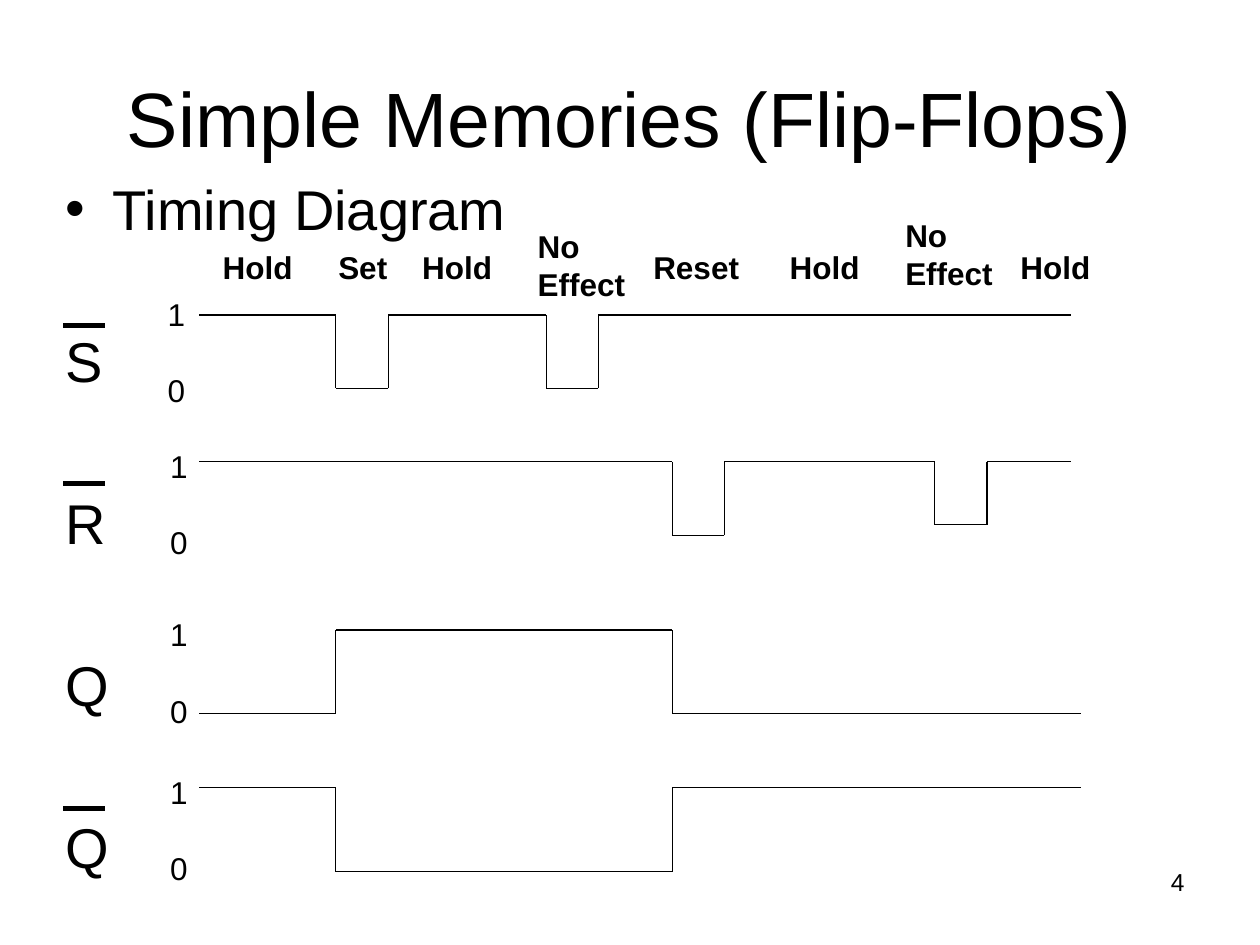
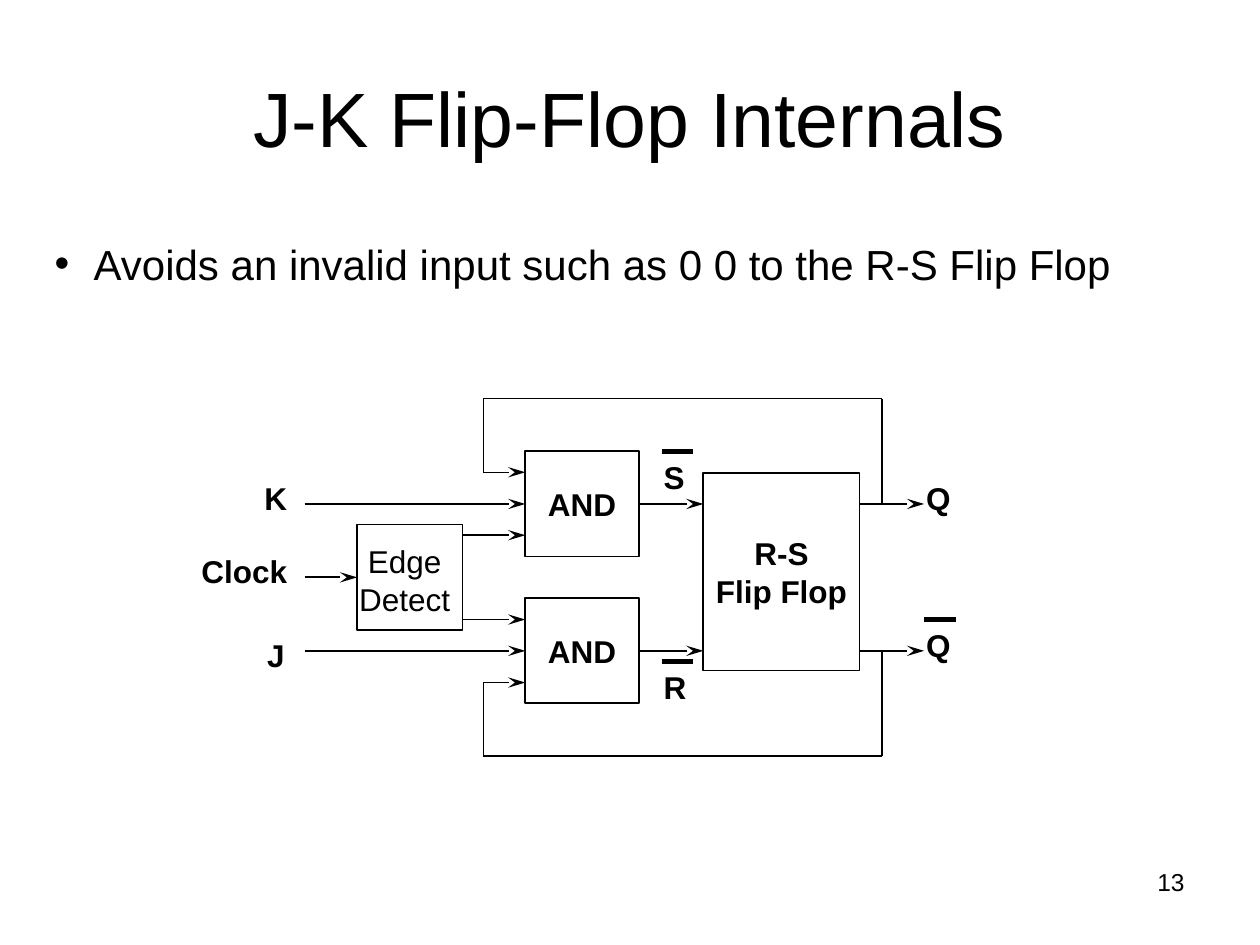
from lxml.etree import SubElement
from pptx import Presentation
from pptx.dml.color import RGBColor
from pptx.enum.shapes import MSO_CONNECTOR as CONN, MSO_SHAPE as SHAPE
from pptx.enum.text import MSO_ANCHOR as ANCHOR, PP_ALIGN as ALIGN
from pptx.oxml.ns import qn
from pptx.util import Cm, Pt

FONT, INK, PAPER = "Arial", "000000", "FFFFFF"
THIN, WIRE, BAR = 0.75, 1, 3


def rgb(value):
    """Turn a hex string into a colour."""
    return RGBColor.from_string(value)


def write(tf, lines, size, bold=False, align=ALIGN.LEFT, before=0):
    """Write one paragraph per line, with space before all but the first."""
    for i, line in enumerate(lines):
        p = tf.add_paragraph() if i else tf.paragraphs[0]
        p.alignment = align
        if i:
            p.space_before = Pt(before)
        r = p.add_run()
        r.text = line
        r.font.name, r.font.size, r.font.bold = FONT, Pt(size), bold
        r.font.color.rgb = rgb(INK)


def label(s, box, lines, size=18, wrap=False, anchor=ANCHOR.TOP, **style):
    """Add a text box and return its frame."""
    tf = s.shapes.add_textbox(*map(Cm, box)).text_frame
    tf.word_wrap, tf.vertical_anchor = wrap, anchor
    write(tf, lines, size, **style)
    return tf


def block(s, box, lines=(), fill=PAPER, width=WIRE):
    """Add an outlined rectangle with centred bold text."""
    sp = s.shapes.add_shape(SHAPE.RECTANGLE, *map(Cm, box))
    sp.shadow.inherit = False
    if fill:
        sp.fill.solid()
        sp.fill.fore_color.rgb = rgb(fill)
    else:
        sp.fill.background()
    sp.line.color.rgb, sp.line.width = rgb(INK), Pt(width)
    tf = sp.text_frame
    tf.word_wrap, tf.vertical_anchor = False, ANCHOR.MIDDLE
    write(tf, lines, 18, bold=True, align=ALIGN.CENTER)
    return sp


def line(s, start, end, width=THIN, arrow=False):
    """Draw a straight line, with an arrowhead at its end if asked."""
    cn = s.shapes.add_connector(CONN.STRAIGHT, *map(Cm, (*start, *end)))
    cn.line.color.rgb, cn.line.width = rgb(INK), Pt(width)
    spPr = cn.element.spPr
    if arrow:
        SubElement(spPr.find(qn("a:ln")), qn("a:tailEnd"),
                   type="stealth", w="med", len="lg")
    SubElement(spPr, qn("a:effectLst"))
    return cn


def polyline(s, points):
    """Join consecutive points with thin lines."""
    for start, end in zip(points, points[1:]):
        line(s, start, end)


def bullet(s, box, text, size, indent, before, spacing=None):
    """Add one bulleted statement."""
    p = label(s, box, [text], size, wrap=True).paragraphs[0]
    p.space_before = Pt(before)
    if spacing:
        p.line_spacing = spacing
    pPr = p._p.get_or_add_pPr()
    pPr.set("marL", str(Cm(indent)))
    pPr.set("indent", str(-Cm(indent)))
    SubElement(pPr, qn("a:buFont"), typeface=FONT)
    SubElement(pPr, qn("a:buChar"), char="•")


def base_slide(prs, title, number):
    """Add a blank slide with its title and slide number."""
    s = prs.slides.add_slide(prs.slide_layouts[6])
    s.background.fill.solid()
    s.background.fill.fore_color.rgb = rgb(PAPER)
    label(s, (18.21, 17.35, 5.92, 1.32), [number], 14, wrap=True, align=ALIGN.RIGHT)
    label(s, (1.27, 0.76, 22.86, 3.18), [title], 44, wrap=True,
          anchor=ANCHOR.MIDDLE, align=ALIGN.CENTER)
    return s


def phase_names(s, x, y):
    """Name the phases above the waveforms."""
    phases = [("Hold", 0.22, 0, 1.91), ("Set", 2.55, 0, 1.5), ("Hold", 4.24, 0, 1.91),
              ("No Effect", 6.57, -0.42, 2.6), ("Reset", 8.9, 0, 2.3),
              ("Hold", 11.65, 0, 1.91), ("No Effect", 13.98, -0.64, 2.6),
              ("Hold", 16.3, 0, 1.91)]
    for name, dx, dy, w in phases:
        lines = name.split()
        label(s, (x + dx, y + dy, w, 0.25 + 0.76 * len(lines)), lines, bold=True)


def signal(s, x, y, edges, end, depth, start_low=False, levels=(-0.84, -0.42)):
    """Draw a waveform whose level flips at each edge, with its level labels."""
    label(s, (x + levels[0], y + levels[1], 0.86, 2.54), ["1", "0"], before=22)
    depths = depth if isinstance(depth, tuple) else (depth,) * len(edges)
    low = start_low
    points = [(x, y + low * depths[0])]
    for edge, drop in zip(edges, depths):
        points += [(x + edge, y + low * drop), (x + edge, y + (not low) * drop)]
        low = not low
    points.append((x + end, y + low * depths[-1]))
    polyline(s, points)


def signal_names(s, x, y, step):
    """Name the signals, with an overbar on the inverted ones."""
    bars = {0: 0.11, 1: 0.02, 3: 0.04}
    for i, name in enumerate("SRQQ"):
        top = y + i * step
        label(s, (x, top, 1.5, 1.55), [name], 32)
        if i in bars:
            line(s, (x + 0.2, top + bars[i]), (x + 1.05, top + bars[i]), BAR)


def timing_slide(prs):
    """Build the timing diagram slide."""
    s = base_slide(prs, "Simple Memories (Flip-Flops)", "4")
    bullet(s, (1.07, 3.39, 22.86, 1.6), "Timing Diagram", 32, 0.95, 8)
    x, set_at, reset_at = 4.02, 2.75, 9.53
    phase_names(s, x, 4.87)
    signal_names(s, 1.07, 6.45, 3.27)
    signal(s, x, 6.35, (set_at, 3.81, 6.99, 8.04), 17.57, 1.48, levels=(-0.89, -0.53))
    signal(s, x, 9.31, (reset_at, 10.58, 14.82, 15.88), 17.57, (1.48, 1.48, 1.27, 1.27))
    signal(s, x, 12.7, (set_at, reset_at), 17.78, 1.69, start_low=True)
    signal(s, x, 15.88, (set_at, reset_at), 17.78, 1.69)


def pin(s, x, y, name, w, barred=False, align=ALIGN.LEFT):
    """Name a wire, with an overbar if it is inverted."""
    label(s, (x, y, w, 1.02), [name], bold=True, align=align)
    if barred:
        line(s, (x + 0.21, y), (x + 0.85, y), BAR)


def circuit(s, x, y):
    """Draw the gates, wires and feedback loops from the given corner."""
    mid, side, gate_w = y + 3.6, 2.12, 2.29
    gate_x, latch_x, latch_w = x + 6.78, x + 10.37, 3.15
    edge_x, loop_x, tap_x, out_x = x + 3.39, x + 5.93, x + 13.97, x + 14.82
    block(s, (latch_x, y + 1.49, latch_w, 3.99), ["R-S", "Flip Flop"])
    edge = block(s, (edge_x, mid - side / 2, side, side), fill=None, width=THIN)
    label(s, (x + 3.18, y + 2.77, 2.34, 1.78), ["Edge", "Detect"], align=ALIGN.CENTER)
    line(s, (x + 2.33, mid), (edge_x, mid), WIRE, True).end_connect(edge, 1)
    for sign in (-1, 1):
        wire_y = mid + sign * 1.48
        gate = block(s, (gate_x, wire_y - side / 2, gate_w, side), ["AND"])
        line(s, (x + 2.33, wire_y), (gate_x, wire_y), WIRE, True).end_connect(gate, 1)
        clock_y, back_y, loop_y = (mid + sign * d for d in (0.85, 2.12, 3.6))
        line(s, (edge_x + side, clock_y), (gate_x, clock_y), WIRE, True)
        out = line(s, (gate_x + gate_w, wire_y), (latch_x, wire_y), WIRE, True)
        out.begin_connect(gate, 3)
        line(s, (latch_x + latch_w, wire_y), (out_x, wire_y), WIRE, True)
        polyline(s, [(tap_x, wire_y), (tap_x, loop_y), (loop_x, loop_y), (loop_x, back_y)])
        line(s, (loop_x, back_y), (gate_x, back_y), THIN, True)
    pin(s, x + 1.27, y + 1.49, "K", 0.96, align=ALIGN.CENTER)
    pin(s, x, y + 2.96, "Clock", 2.24)
    pin(s, x + 1.32, y + 4.66, "J", 0.86, align=ALIGN.CENTER)
    pin(s, x + 9.32, y + 1.06, "S", 0.94, barred=True)
    pin(s, x + 9.32, y + 5.3, "R", 0.96, barred=True)
    pin(s, x + 14.61, y + 1.49, "Q", 1.0)
    pin(s, x + 14.61, y + 4.45, "Q", 1.0, barred=True)


def internals_slide(prs):
    """Build the J-K flip-flop slide."""
    s = base_slide(prs, "J-K Flip-Flop Internals", "13")
    circuit(s, 3.81, 8.04)
    bullet(s, (0.85, 4.88, 23.71, 1.27),
           "Avoids an invalid input such as 0 0 to the R-S Flip Flop", 24, 0.79, 6, 0.8)


def main():
    """Build and save the presentation."""
    prs = Presentation()
    prs.slide_width, prs.slide_height = Cm(25.4), Cm(19.05)
    timing_slide(prs)
    internals_slide(prs)
    prs.save("out.pptx")


if __name__ == "__main__":
    main()
